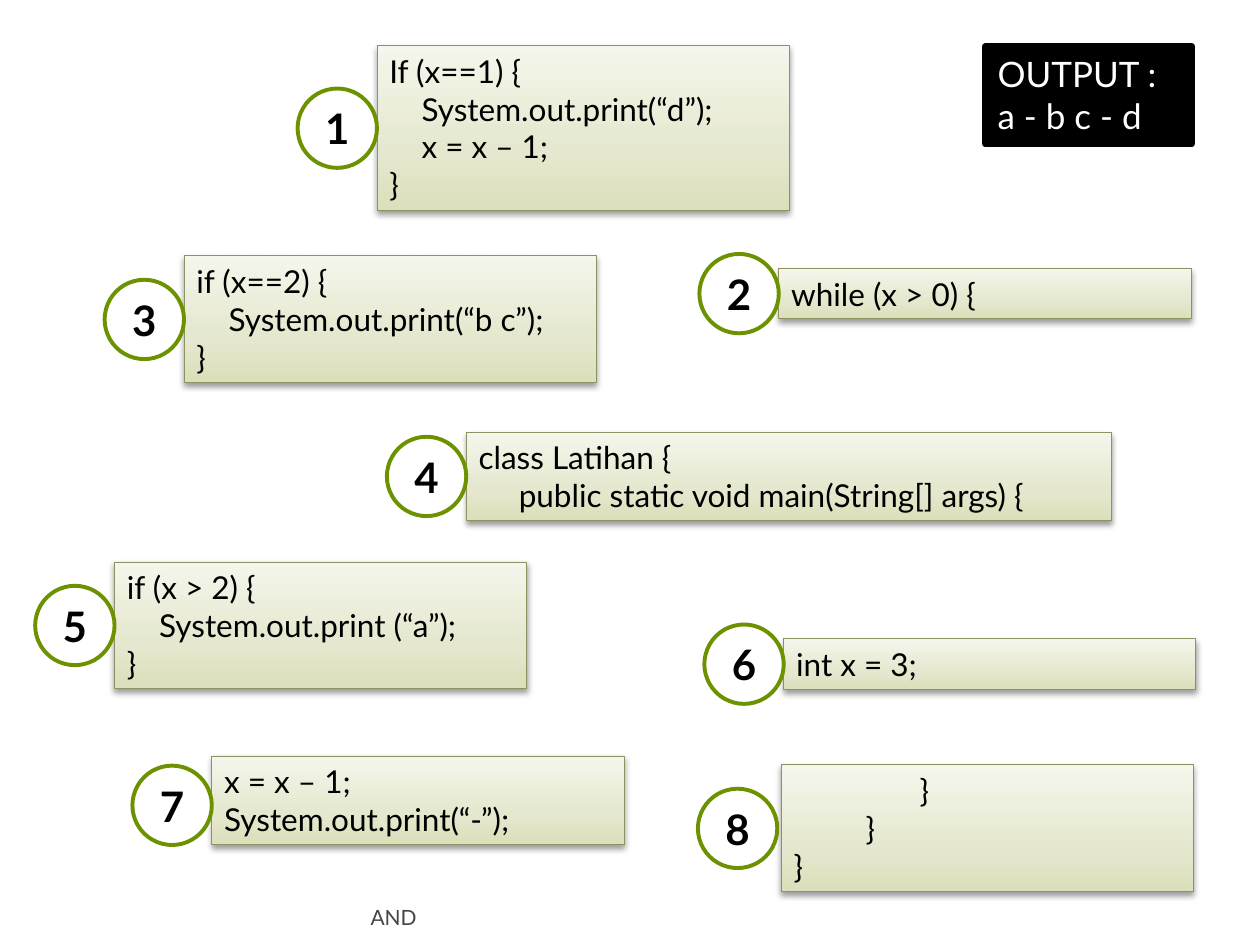
"""Build the code-ordering puzzle slide."""
from copy import deepcopy

from pptx import Presentation
from pptx.dml.color import RGBColor
from pptx.enum import shapes, text
from pptx.oxml import ns, parse_xml
from pptx.util import Cm, Pt

COLORS = {
    "black": "000000", "white": "FFFFFF", "grey": "454545",
    "edge": "8E9262", "green": "6D9200",
    "dark": "DBDFBA", "mid": "E5E8CE", "light": "F5F6EC",
}
GRADIENT = [(0, "dark"), (0.35, "mid"), (1, "light")]
SHADOW = (
    f'<a:outerShdw {ns.nsdecls("a")} blurRad="44450" dist="25400" '
    'dir="5400000" algn="ctr" rotWithShape="0"><a:srgbClr val="000000">'
    '<a:alpha val="38000"/></a:srgbClr></a:outerShdw>'
)


def rgb(name):
    return RGBColor.from_string(COLORS[name])


class Deck:
    """Holds the style and the current slide."""

    font = "Lato"
    box_width = 8.31
    line_height = 0.77
    padding = 0.25
    circle = 1.6

    def __init__(self, prs):
        self.s = prs.slides.add_slide(prs.slide_layouts[6])

    def set_text(self, tf, lines, size, color, bold=False,
                 align=text.PP_ALIGN.LEFT):
        tf.word_wrap = True
        for i, (indent, line) in enumerate(lines):
            p = tf.paragraphs[0] if i == 0 else tf.add_paragraph()
            p.text = line
            p.alignment = align
            p.font.name, p.font.size, p.font.bold = self.font, Pt(size), bold
            p.font.color.rgb = rgb(color)
            if indent:
                pPr = p._p.get_or_add_pPr()
                pPr.set("marL", str(Cm(indent)))
                pPr.set("indent", "0")

    def shape(self, kind, left, top, width, height, fill, line, weight):
        sp = self.s.shapes.add_shape(
            kind, Cm(left), Cm(top), Cm(width), Cm(height))
        sp.shadow.inherit = False
        sp.fill.solid()
        sp.fill.fore_color.rgb = rgb(fill)
        sp.line.color.rgb = rgb(line)
        sp.line.width = Pt(weight)
        return sp

    def box(self, left, top, width, height, lines, size, color, *style):
        sp = self.shape(shapes.MSO_SHAPE.RECTANGLE, left, top, width, height,
                        *style)
        tf = sp.text_frame
        tf.vertical_anchor = text.MSO_ANCHOR.TOP
        self.set_text(tf, lines, size, color)
        tf.auto_size = text.MSO_AUTO_SIZE.SHAPE_TO_FIT_TEXT
        return sp

    def code(self, left, top, width, height, lines):
        sp = self.box(left, top, width, height, lines, 18, "black",
                      "light", "edge", 0.5)
        sp.fill.gradient()
        sp.fill.gradient_angle = 90
        spPr = sp._element.spPr
        stops = spPr.find(ns.qn("a:gradFill")).find(ns.qn("a:gsLst"))
        stops.append(deepcopy(stops[0]))
        for stop, (position, color) in zip(sp.fill.gradient_stops, GRADIENT):
            stop.position = position
            stop.color.rgb = rgb(color)
        spPr.find(ns.qn("a:effectLst")).append(parse_xml(SHADOW))

    def number(self, left, top, value):
        sp = self.shape(shapes.MSO_SHAPE.OVAL, left, top, self.circle,
                        self.circle, "white", "green", 2.25)
        sp.text_frame.vertical_anchor = text.MSO_ANCHOR.MIDDLE
        self.set_text(sp.text_frame, [(0, str(value))], 24, "black", True,
                      text.PP_ALIGN.CENTER)

    def step(self, value, left, top, lines, width=box_width, dx=0, dy=0):
        height = self.padding + self.line_height * len(lines)
        self.code(left, top, width, height, lines)
        self.number(left - self.circle + dx,
                    top + (height - self.circle) / 2 + dy, value)

    def footer(self, left, top, width, height, line):
        sp = self.s.shapes.add_textbox(
            Cm(left), Cm(top), Cm(width), Cm(height))
        tf = sp.text_frame
        tf.vertical_anchor = text.MSO_ANCHOR.BOTTOM
        tf.margin_left = tf.margin_right = tf.margin_top = Cm(0.13)
        tf.margin_bottom = 0
        self.set_text(tf, [(0, line)], 12, "grey")


prs = Presentation()
prs.slide_width, prs.slide_height = Cm(25.4), Cm(19.05)
deck = Deck(prs)

deck.footer(7.34, 17.98, 15.29, 0.76, "AND")
deck.step(1, 7.6, 0.92, [(0, "If (x==1) {"),
                         (0.65, "System.out.print(“d”);"),
                         (0.65, "x = x – 1;"), (0, "}")])
deck.step(2, 15.7, 5.41, [(0, "while (x > 0) {")])
deck.step(3, 3.71, 5.16, [(0, "if (x==2) {"),
                          (0.65, "System.out.print(“b c”);"), (0, "}")])
deck.step(4, 9.4, 8.71, [(0, "class Latihan {"),
                         (0.81, "public static void main(String[] args) {")],
          width=13)
deck.step(5, 2.31, 11.33, [(0, "if (x > 2) {"),
                           (0.65, "System.out.print (“a”);"), (0, "}")])
deck.step(6, 15.8, 12.88, [(0, "int x = 3;")])
deck.step(7, 4.27, 15.24, [(0, "x = x – 1;"),
                           (0, "System.out.print(“-”);")], dy=0.1)
deck.step(8, 15.75, 15.42, [(2.54, "}"), (1.45, "}"), (0, "}")], dx=-0.08)
deck.box(19.86, 0.94, 4.17, 1.96, [(0, "OUTPUT :"), (0, "a - b c - d")],
         20, "white", "black", "black", 3.78)

prs.save("out.pptx")
